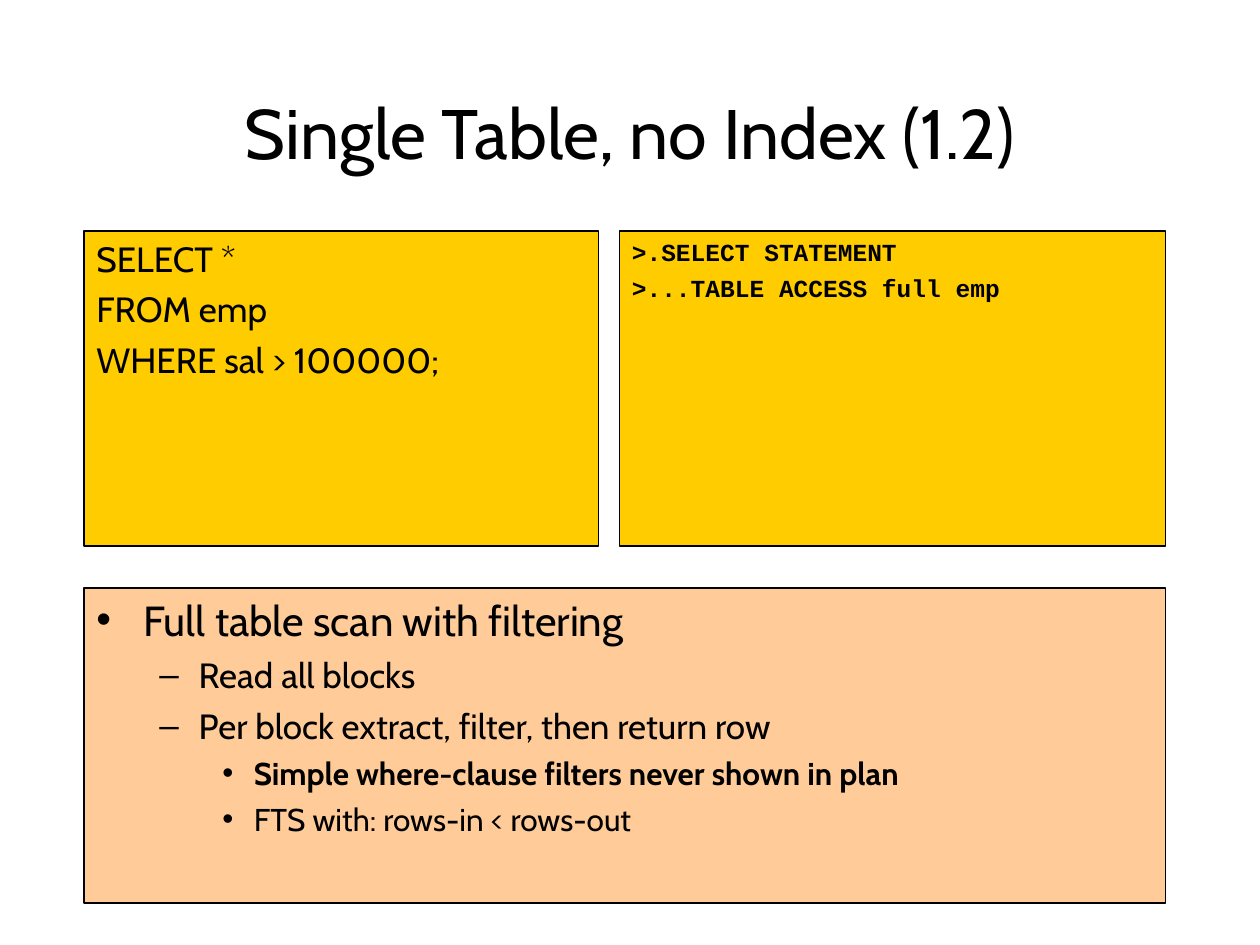
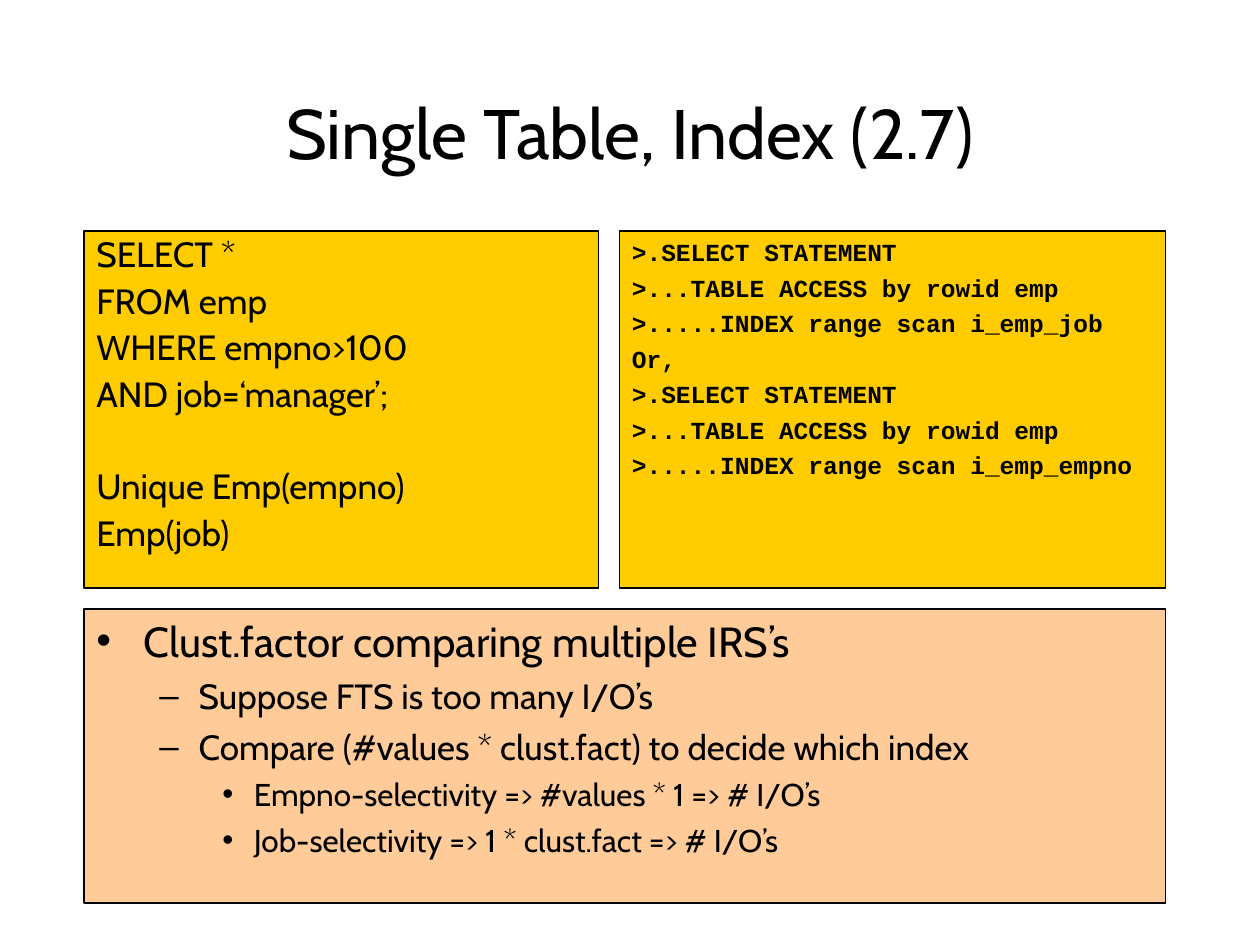
from dataclasses import dataclass, replace
from typing import NamedTuple

from lxml.etree import SubElement
from pptx import Presentation
from pptx.dml.color import RGBColor
from pptx.enum.shapes import MSO_SHAPE
from pptx.enum.text import MSO_ANCHOR, PP_ALIGN
from pptx.oxml.ns import qn
from pptx.util import Emu, Pt

# Shared look
EMU_PER_PX = 9525
COLORS = {"text": "000000", "line": "000000", "code": "FFCC00", "remarks": "FFCC99"}
TEXT_FONT, CODE_FONT = "Cabin", "Courier New"

# Shared layout, in px
SLIDE_WIDTH, SLIDE_HEIGHT = 960, 720
LEFT, RIGHT = 64, 888
PANEL_TOP, REMARKS_BOTTOM = 176, 688
QUERY_WIDTH, PANEL_GAP = 392, 16


class Box(NamedTuple):
    left: int
    top: int
    width: int
    height: int


@dataclass(frozen=True)
class Style:
    size: int
    font: str = TEXT_FONT
    bold: bool = False
    space_before: float = 0
    line_spacing: float = 1.0
    margin: int = 0
    hanging: int = 0
    bullet: str = ""
    level: int = 0
    align: PP_ALIGN = PP_ALIGN.LEFT


class Line(NamedTuple):
    text: str
    style: Style


@dataclass(frozen=True)
class QueryPage:
    title: str
    query: list[Line]
    plan: list[Line]
    remarks: list[Line]
    panel_height: int
    remarks_top: int


TITLE = Style(40, align=PP_ALIGN.CENTER)
QUERY = Style(20, space_before=5, margin=36, hanging=36)
TIGHT_QUERY = replace(QUERY, line_spacing=0.9)
INDEX_LIST = replace(TIGHT_QUERY, space_before=31.5)
PLAN = Style(14, font=CODE_FONT, bold=True, space_before=3.5, margin=36, hanging=36)
POINT = Style(24, space_before=6, margin=36, hanging=36, bullet="•")
DETAIL = Style(20, space_before=5, margin=78, hanging=30, bullet="–", level=1)
REMARK = Style(18, space_before=4.5, margin=120, hanging=24, bullet="•", level=2)
KEY_REMARK = replace(REMARK, bold=True)


def px(length: int) -> Emu:
    return Emu(length * EMU_PER_PX)


def color(name: str) -> RGBColor:
    return RGBColor.from_string(COLORS[name])


def lines(style: Style, *texts: str) -> list[Line]:
    return [Line(text, style) for text in texts]


def add_bullet(properties, character: str) -> None:
    bullet_color = SubElement(properties, qn("a:buClr"))
    SubElement(bullet_color, qn("a:srgbClr"), val=COLORS["text"])
    SubElement(properties, qn("a:buFont"), typeface="Arial")
    SubElement(properties, qn("a:buChar"), char=character)


def write_text(text_frame, content: list[Line], *, anchor: MSO_ANCHOR = MSO_ANCHOR.TOP) -> None:
    text_frame.word_wrap = True
    text_frame.vertical_anchor = anchor
    for index, (text, style) in enumerate(content):
        paragraph = text_frame.add_paragraph() if index else text_frame.paragraphs[0]
        properties = paragraph._p.get_or_add_pPr()
        properties.set("marL", str(px(style.margin)))
        properties.set("indent", str(px(-style.hanging)))
        if style.bullet:
            add_bullet(properties, style.bullet)
        paragraph.level = style.level
        paragraph.alignment = style.align
        paragraph.line_spacing = style.line_spacing
        paragraph.space_before = Pt(style.space_before if index else 0)
        run = paragraph.add_run()
        run.text = text
        run.font.name = style.font
        run.font.size = Pt(style.size)
        run.font.bold = style.bold
        run.font.color.rgb = color("text")


def add_title(slide, text: str) -> None:
    title = slide.shapes.add_textbox(*map(px, Box(72, 64, 816, 72)))
    write_text(title.text_frame, lines(TITLE, text), anchor=MSO_ANCHOR.MIDDLE)


def add_panel(slide, box: Box, fill: str, content: list[Line]) -> None:
    panel = slide.shapes.add_shape(MSO_SHAPE.RECTANGLE, *map(px, box))
    panel.shadow.inherit = False
    panel.fill.solid()
    panel.fill.fore_color.rgb = color(fill)
    panel.line.color.rgb = color("line")
    panel.line.width = Pt(0.75)
    write_text(panel.text_frame, content)


def add_query_page(presentation, page: QueryPage) -> None:
    slide = presentation.slides.add_slide(presentation.slide_layouts[6])
    plan_left = LEFT + QUERY_WIDTH + PANEL_GAP
    add_title(slide, page.title)
    # Explanation below, execution plan on the right, query on the left
    add_panel(slide, Box(LEFT, page.remarks_top, RIGHT - LEFT, REMARKS_BOTTOM - page.remarks_top),
              "remarks", page.remarks)
    add_panel(slide, Box(plan_left, PANEL_TOP, RIGHT - plan_left, page.panel_height),
              "code", page.plan)
    add_panel(slide, Box(LEFT, PANEL_TOP, QUERY_WIDTH, page.panel_height),
              "code", page.query)


# Slide content
PAGES = [
    QueryPage(
        title="Single Table, no Index (1.2)",
        query=lines(QUERY, "SELECT *", "FROM emp", "WHERE sal > 100000;"),
        plan=lines(PLAN, ">.SELECT STATEMENT", ">...TABLE ACCESS full emp"),
        remarks=[
            Line("Full table scan with filtering", POINT),
            *lines(DETAIL, "Read all blocks", "Per block extract, filter, then return row"),
            Line("Simple where-clause filters never shown in plan", KEY_REMARK),
            Line("FTS with: rows-in < rows-out", REMARK),
        ],
        panel_height=240,
        remarks_top=448,
    ),
    QueryPage(
        title="Single Table, Index (2.7)",
        query=[
            *lines(TIGHT_QUERY, "SELECT *", "FROM emp", "WHERE empno>100", "AND job=‘manager’;"),
            Line("Unique Emp(empno)", INDEX_LIST),
            Line("Emp(job)", TIGHT_QUERY),
        ],
        plan=lines(
            PLAN,
            ">.SELECT STATEMENT",
            ">...TABLE ACCESS by rowid emp",
            ">.....INDEX range scan i_emp_job",
            "Or,",
            ">.SELECT STATEMENT",
            ">...TABLE ACCESS by rowid emp",
            ">.....INDEX range scan i_emp_empno",
        ),
        remarks=[
            Line("Clust.factor comparing multiple IRS’s", POINT),
            *lines(DETAIL, "Suppose FTS is too many I/O’s",
                   "Compare (#values * clust.fact) to decide which index"),
            *lines(REMARK, "Empno-selectivity => #values * 1 => # I/O’s",
                   "Job-selectivity => 1 * clust.fact => # I/O’s"),
        ],
        panel_height=272,
        remarks_top=464,
    ),
]


def main() -> None:
    presentation = Presentation()
    presentation.slide_width = px(SLIDE_WIDTH)
    presentation.slide_height = px(SLIDE_HEIGHT)
    for page in PAGES:
        add_query_page(presentation, page)
    presentation.save("out.pptx")


if __name__ == "__main__":
    main()
